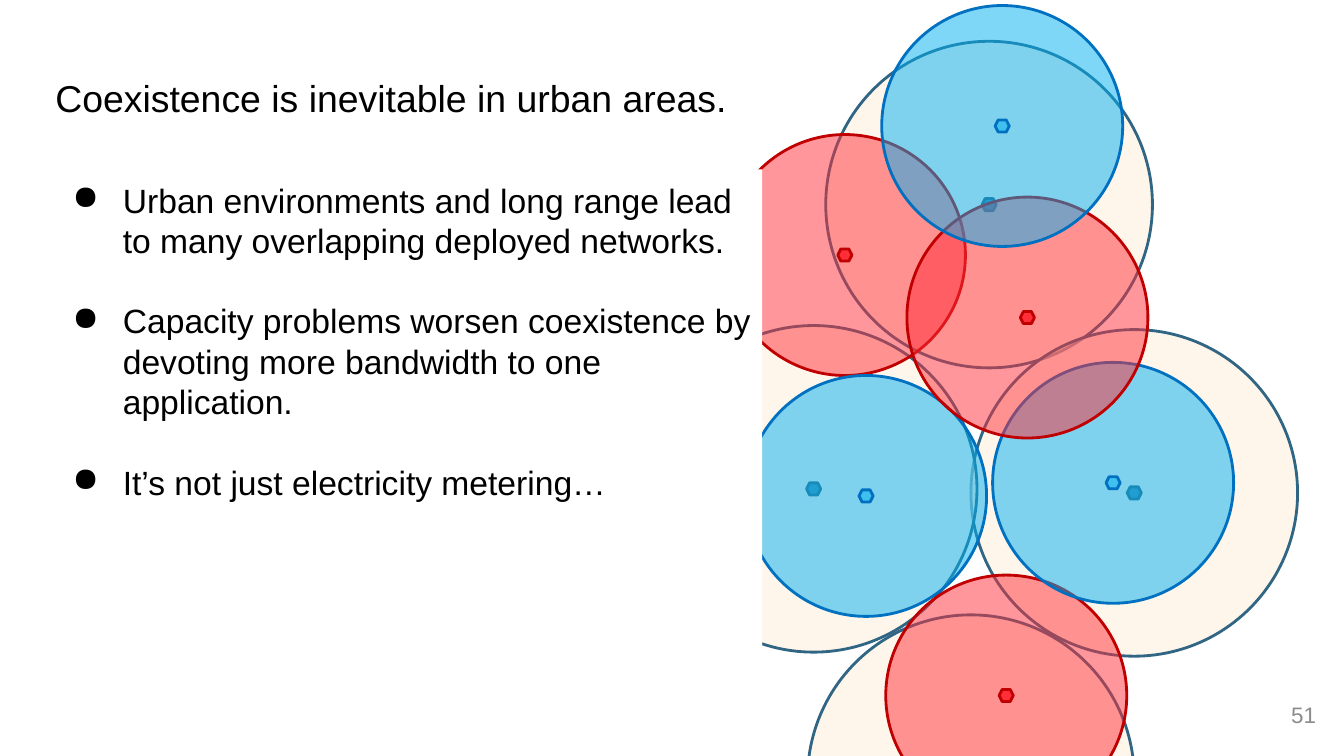
from lxml import etree
from pptx import Presentation
from pptx.dml.color import RGBColor
from pptx.enum.shapes import MSO_SHAPE
from pptx.enum.text import MSO_ANCHOR, PP_ALIGN
from pptx.oxml.ns import qn
from pptx.util import Inches, Pt

OVAL, HEXAGON = MSO_SHAPE.OVAL, MSO_SHAPE.HEXAGON
TOP, MIDDLE = MSO_ANCHOR.TOP, MSO_ANCHOR.MIDDLE
LEFT, RIGHT = PP_ALIGN.LEFT, PP_ALIGN.RIGHT

WHITE = RGBColor(0xFF, 0xFF, 0xFF)
BLACK = RGBColor(0x00, 0x00, 0x00)
GRAY = RGBColor(0x8C, 0x8C, 0x8C)
CREAM = RGBColor(0xFF, 0xEE, 0xD9)
STEEL = RGBColor(0x41, 0x8A, 0xB3)
DARK_STEEL = RGBColor(0x30, 0x66, 0x84)
RED = RGBColor(0xFF, 0x2E, 0x38)
DARK_RED = RGBColor(0xC0, 0x00, 0x00)
SKY = RGBColor(0x00, 0xB0, 0xF0)
BLUE = RGBColor(0x00, 0x70, 0xC0)

WIDE = {"diameter": 3.24, "area": CREAM, "mast": STEEL, "mast_alpha": 100, "line": DARK_STEEL}
RED_CELL = {"diameter": 2.39, "area": RED, "mast": RED, "mast_alpha": 100, "line": DARK_RED}
BLUE_CELL = {"diameter": 2.39, "area": SKY, "mast": SKY, "mast_alpha": 50, "line": BLUE}

NETWORKS = [
    (WIDE, 9.81, 2.03),
    (WIDE, 11.25, 4.89),
    (WIDE, 8.07, 4.85),
    (WIDE, 9.63, 7.72),
    (RED_CELL, 8.38, 2.53),
    (BLUE_CELL, 8.59, 4.92),
    (RED_CELL, 9.98, 6.9),
    (BLUE_CELL, 11.04, 4.79),
    (RED_CELL, 10.19, 3.15),
    (BLUE_CELL, 9.94, 1.25),
]

POINTS = [
    "Urban environments and long range lead to many overlapping deployed networks.",
    "Capacity problems worsen coexistence by devoting more bandwidth to one application.",
    "It’s not just electricity metering…",
]

SLIDE_HEIGHT = 7.5


def set_all(target, values):
    for name, value in values.items():
        setattr(target, name, value)


def add_centered(group, kind, center_x, center_y, width, height, color, alpha, line):
    shape = group.shapes.add_shape(
        kind, Inches(center_x - width / 2), Inches(center_y - height / 2),
        Inches(width), Inches(height))
    shape.shadow.inherit = False
    shape.fill.solid()
    shape.fill.fore_color.rgb = color
    if alpha < 100:
        color_element = shape.fill._xPr.find(qn("a:solidFill"))[0]
        etree.SubElement(color_element, qn("a:alpha")).set("val", str(alpha * 1000))
    shape.line.color.rgb = line
    shape.line.width = Pt(2)


def add_network(slide, style, center_x, center_y):
    group = slide.shapes.add_group_shape()
    diameter, line = style["diameter"], style["line"]
    add_centered(group, OVAL, center_x, center_y, diameter, diameter,
                 style["area"], 50, line)
    if center_y < SLIDE_HEIGHT:
        add_centered(group, HEXAGON, center_x, center_y, 0.14, 0.12,
                     style["mast"], style["mast_alpha"], line)


def add_bullet(paragraph):
    properties = paragraph._p.get_or_add_pPr()
    properties.set("marL", str(Inches(0.67)))
    properties.set("indent", str(Inches(-0.5)))
    etree.SubElement(properties, qn("a:buChar")).set("char", "●")


def add_text(slide, box, lines, size, color=BLACK, fill=None, align=LEFT,
             anchor=TOP, bullets=False):
    shape = slide.shapes.add_textbox(*[Inches(length) for length in box])
    if fill is not None:
        shape.fill.solid()
        shape.fill.fore_color.rgb = fill
    frame = shape.text_frame
    margins = {f"margin_{side}": Inches(0.1) for side in ("left", "top", "right", "bottom")}
    set_all(frame, {"word_wrap": True, "vertical_anchor": anchor, **margins})
    pitch = Pt(size * 1.2)
    for index, line in enumerate(lines):
        paragraph = frame.paragraphs[0] if index == 0 else frame.add_paragraph()
        if bullets:
            add_bullet(paragraph)
        paragraph.text = line
        set_all(paragraph, {"alignment": align, "line_spacing": pitch,
                            "space_before": pitch if index else Pt(0)})
        set_all(paragraph.font, {"name": "Arial", "size": Pt(size)})
        paragraph.font.color.rgb = color


def main():
    presentation = Presentation()
    presentation.slide_width = Inches(13.33)
    presentation.slide_height = Inches(SLIDE_HEIGHT)
    slide = presentation.slides.add_slide(presentation.slide_layouts[6])
    for style, center_x, center_y in NETWORKS:
        add_network(slide, style, center_x, center_y)
    add_text(slide, (0.45, 0.65, 7.11, 0.84),
             ["Coexistence is inevitable in urban areas."], 26.7, fill=WHITE)
    add_text(slide, (0.45, 1.68, 7.11, 4.98), POINTS, 24, fill=WHITE, bullets=True)
    add_text(slide, (12.35, 6.8, 0.8, 0.57), ["51"], 16, color=GRAY,
             align=RIGHT, anchor=MIDDLE)
    presentation.save("out.pptx")


if __name__ == "__main__":
    main()
